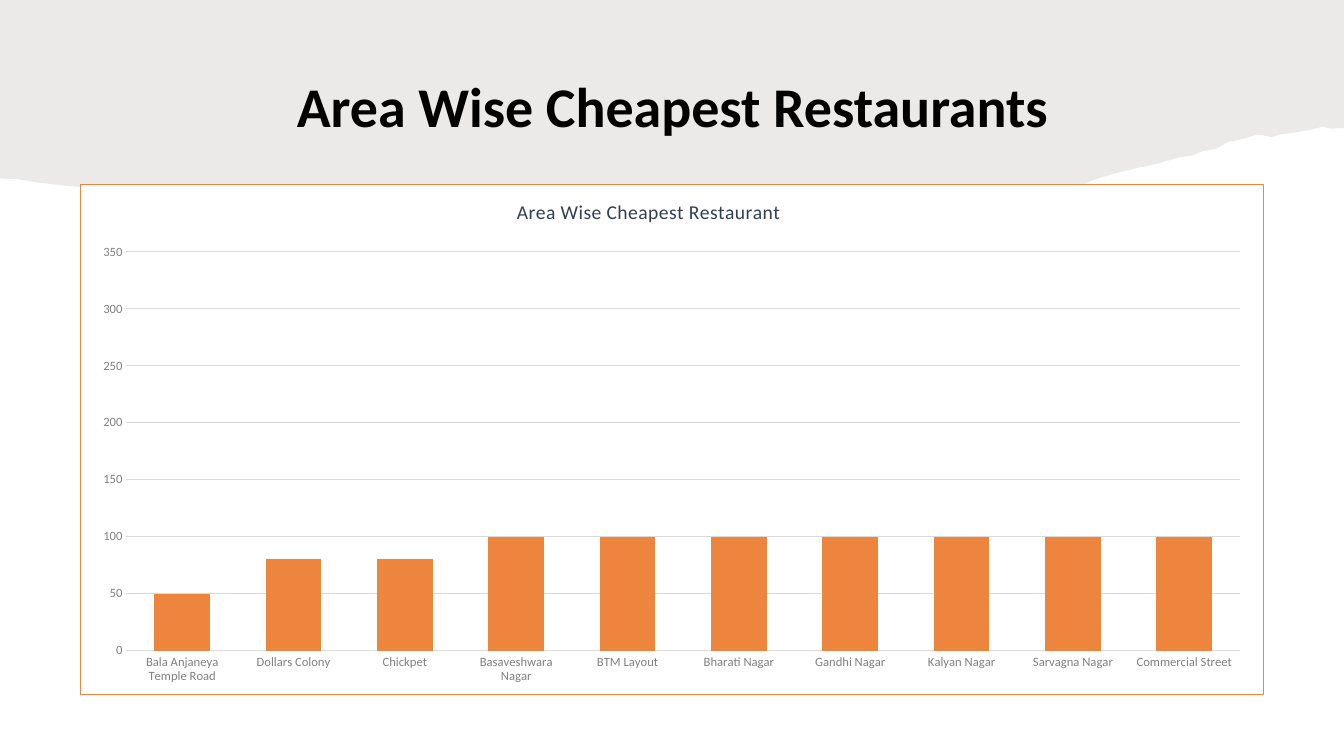
from typing import Any, NamedTuple

from lxml.etree import SubElement as Sub
from pptx import Presentation
from pptx.chart.data import CategoryChartData as Data
from pptx.dml.color import RGBColor as Rgb
from pptx.enum.chart import XL_CHART_TYPE as Kind, XL_TICK_MARK as Tick
from pptx.enum.text import MSO_ANCHOR as Anchor, MSO_AUTO_SIZE as Fit, PP_ALIGN as Align
from pptx.oxml import parse_xml
from pptx.oxml.ns import nsdecls, qn
from pptx.util import Pt

FACE = "Calibri"
ORANGE = "EE853E"
RULE = "D9D9D9"


class Bar(NamedTuple):
    area: str
    cost: int


class Box(NamedTuple):
    left: float
    top: float
    width: float
    height: float


BARS = [
    Bar("Bala Anjaneya Temple Road", 50),
    Bar("Dollars Colony", 80),
    Bar("Chickpet", 80),
    Bar("Basaveshwara Nagar", 100),
    Bar("BTM Layout", 100),
    Bar("Bharati Nagar", 100),
    Bar("Gandhi Nagar", 100),
    Bar("Kalyan Nagar", 100),
    Bar("Sarvagna Nagar", 100),
    Bar("Commercial Street", 100),
]

# Torn lower edge of the band, from right to left
EDGE = [
    (960, 91.5), (957, 91.5), (951, 92), (945, 90.5), (935, 93), (923, 95),
    (914, 96), (909, 98), (901, 96.5), (897, 96.5), (885, 100),
    (877, 101.5), (868, 106.5), (859, 108), (852, 111),
    (842, 112.5), (837, 114), (828, 116.5), (818, 119), (814, 119.5),
    (796, 124), (780, 129), (770, 133), (758, 137), (742, 139), (723, 142.5),
    (698, 144.5), (657, 147), (635, 151), (610, 154), (599, 155.5),
    (587, 154), (561, 154), (529, 157.5), (508, 160.5), (485, 161.5),
    (479, 164), (458, 163.5), (439, 159), (414, 160.5), (360, 159),
    (334, 155), (289, 148.5), (256, 146), (224, 150.5), (196, 153.5),
    (177, 152.5), (148, 148.5), (135, 144), (118, 142), (109, 138),
    (98, 136), (69, 134.5), (50, 133), (28, 130.5), (12, 128), (0, 127.5),
]


def assign(item: Any, values: dict[str, Any]) -> None:
    for name, value in values.items():
        setattr(item, name, value)


def style(font: Any, size: float, tone: str, bold: bool = False) -> None:
    assign(font, {"name": FACE, "size": Pt(size), "bold": bold})
    font.color.rgb = Rgb.from_string(tone)


def paint(fill: Any, tone: str) -> None:
    fill.solid()
    fill.fore_color.rgb = Rgb.from_string(tone)


def stroke(line: Any, tone: str) -> None:
    paint(line.fill, tone)
    line.width = Pt(0.75)


def pin(node: Any, index: int, spots: dict[str, float], target: str = "") -> None:
    """Give a chart part a fixed layout, in percent of the chart."""
    for old in node.findall(qn("c:layout")):
        node.remove(old)
    layout = parse_xml(f"<c:layout {nsdecls('c')}><c:manualLayout/></c:layout>")
    rules = {"layoutTarget": target} if target else {}
    rules |= {"xMode": "edge", "yMode": "edge"}
    rules |= {name: str(share / 100) for name, share in spots.items()}
    for name, value in rules.items():
        Sub(layout[0], qn(f"c:{name}"), val=value)
    node.insert(index, layout)


def draw_band(slide: Any) -> None:
    pen = slide.shapes.build_freeform(0, 0, scale=1.0)
    pen.add_line_segments([(Pt(x), Pt(y)) for x, y in [(960, 0), *EDGE]])
    band = pen.convert_to_shape()
    band.shadow.inherit = False
    paint(band.fill, "82766A")
    tone = band.element.spPr.find(qn("a:solidFill"))[0]
    Sub(tone, qn("a:alpha"), val="15000")
    band.line.fill.background()


def set_title(slide: Any, box: Box) -> None:
    title = slide.shapes.title
    assign(title, {name: Pt(size) for name, size in box._asdict().items()})
    frame = title.text_frame
    frame.text = "Area Wise Cheapest Restaurants"
    assign(frame, {"vertical_anchor": Anchor.BOTTOM, "word_wrap": True, "auto_size": Fit.NONE})
    para = frame.paragraphs[0]
    assign(para, {"alignment": Align.CENTER, "line_spacing": 0.9})
    style(para.runs[0].font, 40, "000000", True)


def set_axes(chart: Any) -> None:
    cats, vals = chart.category_axis, chart.value_axis
    for axis in (cats, vals):
        assign(axis, {"major_tick_mark": Tick.NONE, "minor_tick_mark": Tick.NONE})
        style(axis.tick_labels.font, 9, "808080")
    stroke(cats.format.line, RULE)
    assign(vals, {"minimum_scale": 0, "maximum_scale": 350, "major_unit": 50,
                  "has_major_gridlines": True})
    vals.format.line.fill.background()
    stroke(vals.major_gridlines.format.line, RULE)


def set_head(chart: Any) -> None:
    chart.has_title = True
    head = chart.chart_title
    head.text_frame.text = "Area Wise Cheapest Restaurant"
    style(head.text_frame.paragraphs[0].runs[0].font, 14, "333F50")
    for node in head.element.iter(qn("a:rPr")):
        node.set("spc", "20")
    pin(head.element, 1, {"x": 36.6, "y": 2})


def set_frame(chart: Any) -> None:
    """Fill and outline the whole chart area."""
    area = parse_xml(
        f"<c:spPr {nsdecls('c', 'a')}>"
        '<a:solidFill><a:srgbClr val="FFFFFF"/></a:solidFill>'
        f'<a:ln w="{Pt(0.75)}"><a:solidFill><a:srgbClr val="{ORANGE}"/></a:solidFill></a:ln>'
        "</c:spPr>"
    )
    chart.element.find(qn("c:chart")).addnext(area)


def draw_chart(slide: Any, box: Box) -> None:
    data = Data()
    data.categories = [bar.area for bar in BARS]
    data.add_series("Series 1", [bar.cost for bar in BARS])
    place = [Pt(size) for size in box]
    chart = slide.shapes.add_chart(Kind.COLUMN_CLUSTERED, *place, data).chart
    chart.has_legend = False
    style(chart.font, 10, "000000")
    plot = chart.plots[0]
    assign(plot, {"gap_width": 100, "overlap": -24, "vary_by_categories": False})
    paint(plot.series[0].format.fill, ORANGE)
    set_axes(chart)
    set_head(chart)
    set_frame(chart)
    field = chart.element.find(qn("c:chart")).find(qn("c:plotArea"))
    pin(field, 0, {"x": 3.9, "y": 13.2, "w": 94.1, "h": 78.2}, "inner")


def main() -> None:
    deck = Presentation()
    assign(deck, {"slide_width": Pt(960), "slide_height": Pt(540)})
    slide = deck.slides.add_slide(deck.slide_layouts[5])
    paint(slide.background.fill, "FFFFFF")
    draw_band(slide)
    set_title(slide, Box(65.5, 39, 829.5, 64))
    tree = slide.shapes.title.element.getparent()
    tree.append(slide.shapes.title.element)
    draw_chart(slide, Box(57, 131.5, 846, 365))
    deck.save("out.pptx")


if __name__ == "__main__":
    main()
